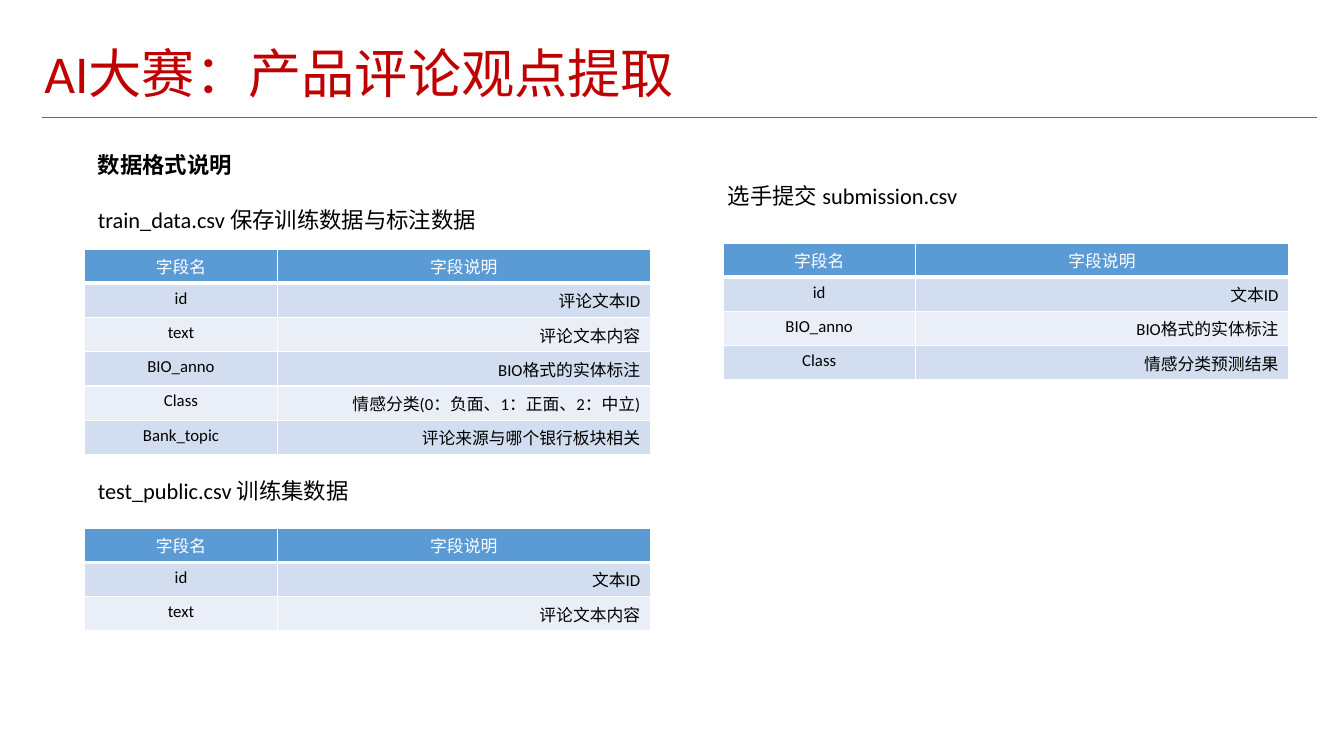
from lxml import etree
from pptx import Presentation
from pptx.dml.color import RGBColor
from pptx.enum import shapes, text
from pptx.oxml.ns import qn
from pptx.util import Inches, Pt

TITLE = "AI大赛：产品评论观点提取"
HEADER = ("字段名", "字段说明")

# Labels: text, left, vertical centre, bold
LABELS = [
    ("数据格式说明", 0.92, 1.63, True),
    ("train_data.csv 保存训练数据与标注数据", 0.92, 2.18, False),
    ("test_public.csv 训练集数据", 0.92, 4.87, False),
    ("选手提交 submission.csv", 7.17, 1.94, False),
]

# Tables: left, top, body rows
TABLES = [
    (0.84, 2.47, [
        ("id", "评论文本ID"),
        ("text", "评论文本内容"),
        ("BIO_anno", "BIO格式的实体标注"),
        ("Class", "情感分类(0：负面、1：正面、2：中立)"),
        ("Bank_topic", "评论来源与哪个银行板块相关"),
    ]),
    (0.84, 5.24, [("id", "文本ID"), ("text", "评论文本内容")]),
    (7.17, 2.41, [
        ("id", "文本ID"),
        ("BIO_anno", "BIO格式的实体标注"),
        ("Class", "情感分类预测结果"),
    ]),
]

COLORS = {
    "title": "C00000", "rule": "3F6FC3", "text": "000000", "white": "FFFFFF",
    "header": "5B9BD5", "odd": "D2DEEF", "even": "EAEFF7",
}
FONT = "Calibri"
COLUMNS = (1.91, 3.7)
ROW_HEIGHT = 0.34
LABEL_HEIGHT = 0.4
INSET = 0.05


def rgb(name):
    return RGBColor.from_string(COLORS[name])


def write(tf, content, size, color, align=text.PP_ALIGN.LEFT, bold=False):
    tf.text = content
    p = tf.paragraphs[0]
    p.alignment = align
    font = p.runs[0].font
    font.name, font.size, font.bold = FONT, Pt(size), bold
    font.color.rgb = rgb(color)
    return p


def frame(tf):
    tf.margin_left = tf.margin_right = Inches(INSET)
    tf.margin_top = tf.margin_bottom = Inches(INSET)
    tf.vertical_anchor = text.MSO_ANCHOR.MIDDLE
    tf.word_wrap = True


def set_borders(cell, bottom):
    tcPr = cell._tc.get_or_add_tcPr()
    for i, (side, width) in enumerate((("L", 1), ("R", 1), ("T", 1), ("B", bottom))):
        ln = etree.Element(qn(f"a:ln{side}"), w=str(Pt(width)))
        fill = etree.SubElement(ln, qn("a:solidFill"))
        etree.SubElement(fill, qn("a:srgbClr"), val=COLORS["white"])
        tcPr.insert(i, ln)


def add_field_table(slide, left, top, body):
    rows = [HEADER] + body
    table = slide.shapes.add_table(
        len(rows), len(COLUMNS), Inches(left), Inches(top),
        Inches(sum(COLUMNS)), Inches(ROW_HEIGHT * len(rows))).table
    for column, width in zip(table.columns, COLUMNS):
        column.width = Inches(width)
    for r, values in enumerate(rows):
        table.rows[r].height = Inches(ROW_HEIGHT)
        band = "header" if r == 0 else "odd" if r % 2 else "even"
        for c, value in enumerate(values):
            cell = table.cell(r, c)
            cell.fill.solid()
            cell.fill.fore_color.rgb = rgb(band)
            set_borders(cell, 1 if r else 3)
            align = text.PP_ALIGN.RIGHT if r and c else text.PP_ALIGN.CENTER
            write(cell.text_frame, value, 12, "text" if r else "white", align)


def main():
    prs = Presentation()
    prs.slide_width, prs.slide_height = Inches(13.33), Inches(7.5)
    slide = prs.slides.add_slide(prs.slide_layouts[5])

    # Title and rule
    title = slide.shapes.title
    title.left, title.top = Inches(0.39), Inches(0.4)
    title.width, title.height = Inches(11.13), Inches(0.71)
    frame(title.text_frame)
    write(title.text_frame, TITLE, 38, "title").line_spacing = 0.9
    rule = slide.shapes.add_connector(
        shapes.MSO_CONNECTOR.STRAIGHT,
        Inches(0.42), Inches(1.17), Inches(13.06), Inches(1.17))
    rule.line.color.rgb = rgb("rule")
    rule.line.width = Pt(0.75)
    etree.SubElement(rule._element.spPr, qn("a:effectLst"))

    # Labels
    for content, left, centre, bold in LABELS:
        box = slide.shapes.add_textbox(
            Inches(left), Inches(centre - LABEL_HEIGHT / 2),
            Inches(sum(COLUMNS)), Inches(LABEL_HEIGHT))
        frame(box.text_frame)
        write(box.text_frame, content, 16, "text", bold=bold)

    # Field tables
    for left, top, body in TABLES:
        add_field_table(slide, left, top, body)

    prs.save("out.pptx")


if __name__ == "__main__":
    main()
